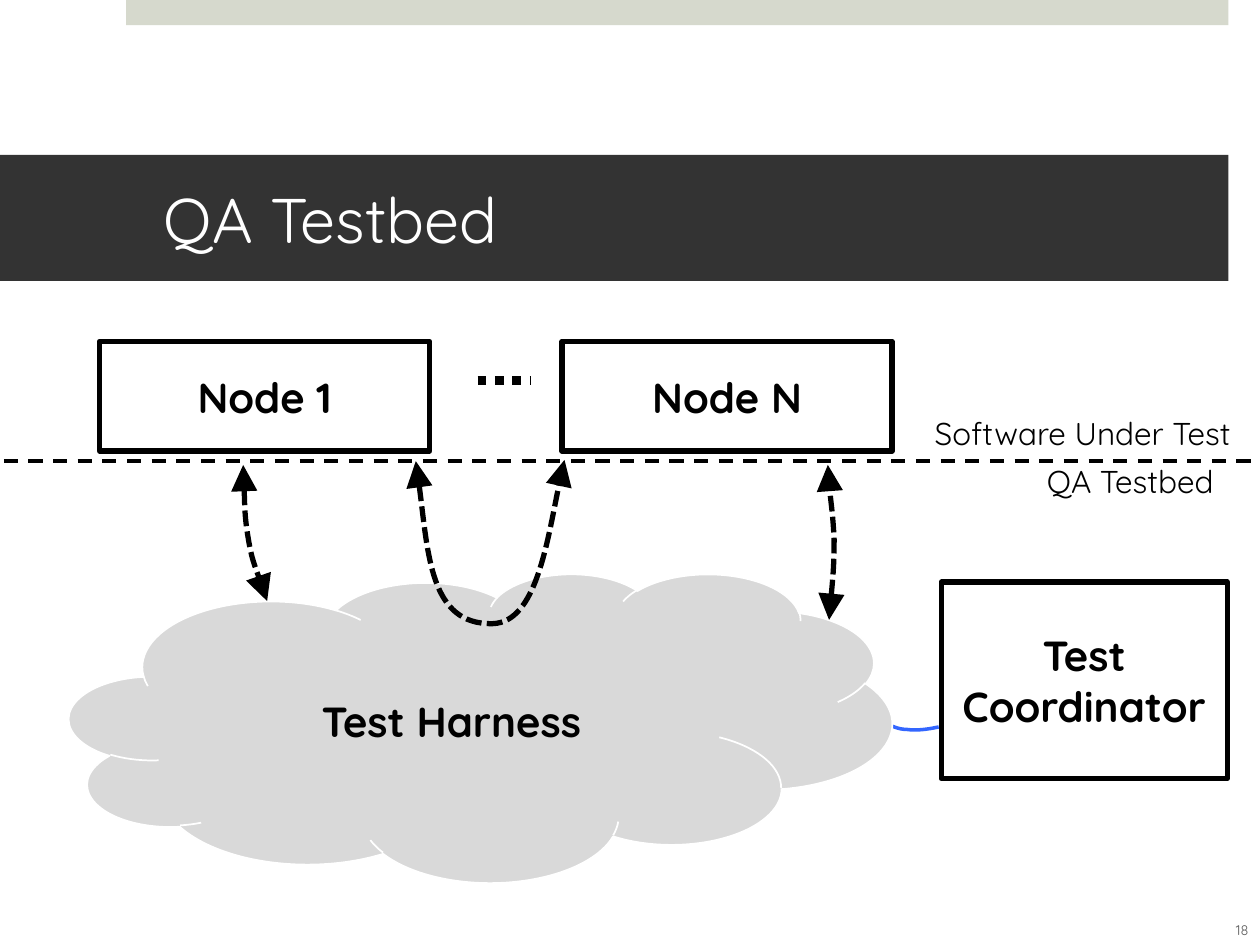
from dataclasses import dataclass

from lxml.etree import SubElement
from pptx import Presentation
from pptx.dml.color import RGBColor
from pptx.enum.dml import MSO_LINE as Dash
from pptx.enum.shapes import MSO_CONNECTOR as Connector, MSO_SHAPE as Shape
from pptx.enum.text import MSO_ANCHOR as Anchor, MSO_AUTO_SIZE as AutoSize, PP_ALIGN as Align
from pptx.oxml.ns import qn
from pptx.util import Inches, Pt


@dataclass(frozen=True)
class Theme:
    font: str = "Quicksand"
    black: str = "000000"
    white: str = "FFFFFF"
    band: str = "333333"
    accent: str = "D6D9CD"
    cloud: str = "D9D9D9"
    link: str = "3366FF"
    muted: str = "595959"
    title_size: int = 36
    box_size: int = 24
    label_size: int = 18
    number_size: int = 8


class SlideBuilder:
    def __init__(self, slide, theme):
        self.slide = slide
        self.theme = theme

    def add_text(self, shape, text, size, color, align=Align.LEFT, anchor=Anchor.MIDDLE, bold=False):
        frame = shape.text_frame
        frame.vertical_anchor = anchor
        paragraph = frame.paragraphs[0]
        paragraph.alignment = align
        run = paragraph.add_run()
        run.text = text
        run.font.name = self.theme.font
        run.font.size = Pt(size)
        run.font.bold = bold
        run.font.color.rgb = RGBColor.from_string(color)

    def stroke(self, line, color, width, dash=None):
        line.color.rgb = RGBColor.from_string(color)
        line.width = Pt(width)
        if dash is not None:
            line.dash_style = dash

    def paint(self, shape, color):
        shape.fill.solid()
        shape.fill.fore_color.rgb = RGBColor.from_string(color)

    def title(self, text, left, top, width, height):
        shape = self.slide.shapes.title
        shape.left, shape.top = Inches(left), Inches(top)
        shape.width, shape.height = Inches(width), Inches(height)
        self.paint(shape, self.theme.band)
        frame = shape.text_frame
        frame.auto_size = AutoSize.NONE
        frame.margin_left, frame.margin_right = Inches(1.3), Inches(0.3)
        self.add_text(shape, text, self.theme.title_size, self.theme.white)

    def block(self, kind, left, top, width, height, fill, line=None, line_width=3, text=None):
        shape = self.slide.shapes.add_shape(
            kind, Inches(left), Inches(top), Inches(width), Inches(height))
        shape.shadow.inherit = False
        self.paint(shape, fill)
        if line:
            self.stroke(shape.line, line, line_width)
        else:
            shape.line.fill.background()
        if text:
            shape.text_frame.word_wrap = True
            self.add_text(shape, text, self.theme.box_size, self.theme.black, Align.CENTER, bold=True)

    def box(self, text, left, top, width, height):
        self.block(Shape.RECTANGLE, left, top, width, height,
                   self.theme.white, self.theme.black, text=text)

    def label(self, text, left, top, width, size, color, align=Align.LEFT, anchor=Anchor.TOP):
        shape = self.slide.shapes.add_textbox(
            Inches(left), Inches(top), Inches(width), Inches(0.4))
        shape.text_frame.word_wrap = False
        self.add_text(shape, text, size, color, align, anchor)

    def rule(self, left, right, y, width, dash):
        line = self.slide.shapes.add_connector(
            Connector.STRAIGHT, Inches(left), Inches(y), Inches(right), Inches(y))
        self.stroke(line.line, self.theme.black, width, dash)
        SubElement(line._element.spPr, qn("a:effectLst"))

    def curve(self, points, color, width, dash=None, arrows=False):
        start, *rest = [(Inches(x), Inches(y)) for x, y in points]
        builder = self.slide.shapes.build_freeform(*start)
        builder.add_line_segments(rest, close=False)
        shape = builder.convert_to_shape()
        shape.shadow.inherit = False
        shape.fill.background()
        self.stroke(shape.line, color, width, dash)
        outline = shape._element.spPr.find(".//" + qn("a:path"))
        segments = outline.findall(qn("a:lnTo"))
        for index in range(0, len(segments), 3):
            bezier = SubElement(outline, qn("a:cubicBezTo"))
            for segment in segments[index:index + 3]:
                bezier.append(segment[0])
                outline.remove(segment)
        if arrows:
            line = shape._element.spPr.find(qn("a:ln"))
            for end in ("a:headEnd", "a:tailEnd"):
                SubElement(line, qn(end), type="triangle", w="lg", len="lg")


theme = Theme()
presentation = Presentation()
presentation.slide_width, presentation.slide_height = Inches(10), Inches(7.5)
slide = presentation.slides.add_slide(presentation.slide_layouts[5])
page = SlideBuilder(slide, theme)

page.block(Shape.RECTANGLE, 1, 0, 8.75, 0.2, theme.accent)
page.title("QA Testbed", 0, 1.23, 9.75, 1)

for name, left in (("Node 1", 0.79), ("Node N", 4.46)):
    page.box(name, left, 2.71, 2.62, 0.87)
page.rule(3.79, 4.21, 3.02, 5, Dash.ROUND_DOT)
page.box("Test Coordinator", 7.47, 4.62, 2.27, 1.56)
page.curve([(7.01, 5.73), (7.07, 5.76), (7.13, 5.79), (7.2, 5.79),
            (7.27, 5.8), (7.36, 5.79), (7.45, 5.77)], theme.link, 2)

page.rule(0.03, 9.95, 3.66, 2, Dash.DASH)
for text, left, top, width in (("QA Testbed", 8.21, 3.62, 1.63),
                               ("Software Under Test", 7.32, 3.24, 2.59)):
    page.label(text, left, top, width, theme.label_size, theme.black)

page.block(Shape.CLOUD, 0.55, 4.55, 6.53, 2.45, theme.cloud, theme.white, 1, "Test Harness")

message_paths = (
    [(1.93, 3.69), (1.94, 3.89), (1.94, 4.09), (1.97, 4.27),
     (2, 4.45), (2.12, 4.77), (2.12, 4.77)],
    [(6.58, 4.92), (6.6, 4.7), (6.62, 4.49), (6.62, 4.28),
     (6.61, 4.08), (6.57, 3.8), (6.57, 3.69)],
    [(3.3, 3.66), (3.39, 4.26), (3.41, 4.96), (3.91, 4.95),
     (4.26, 4.94), (4.38, 4.07), (4.48, 3.65)],
)
for points in message_paths:
    page.curve(points, theme.black, 3, Dash.SQUARE_DOT, arrows=True)

page.label("18", 9.61, 7.18, 0.5, theme.number_size, theme.muted, Align.CENTER, Anchor.MIDDLE)

presentation.save("out.pptx")
